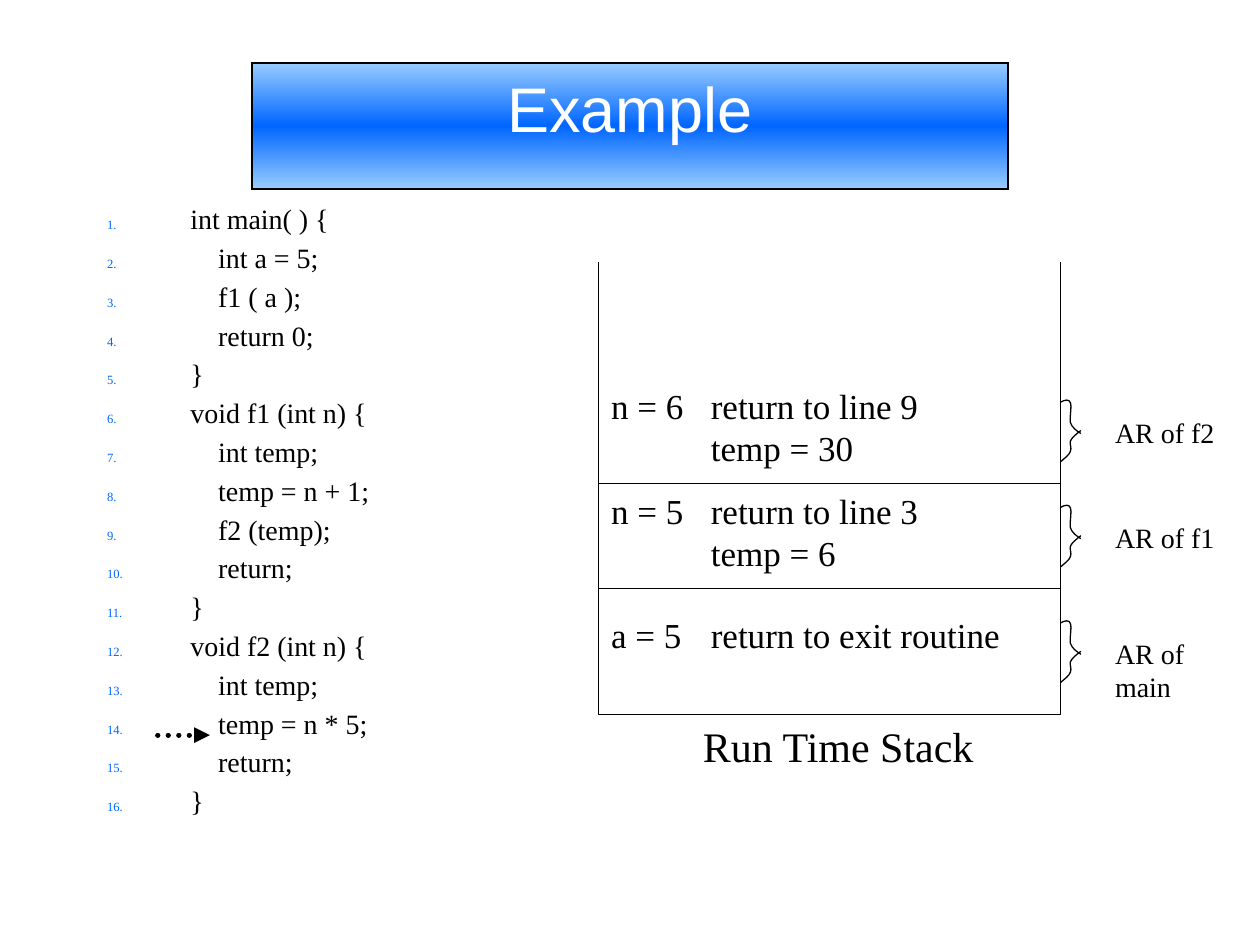
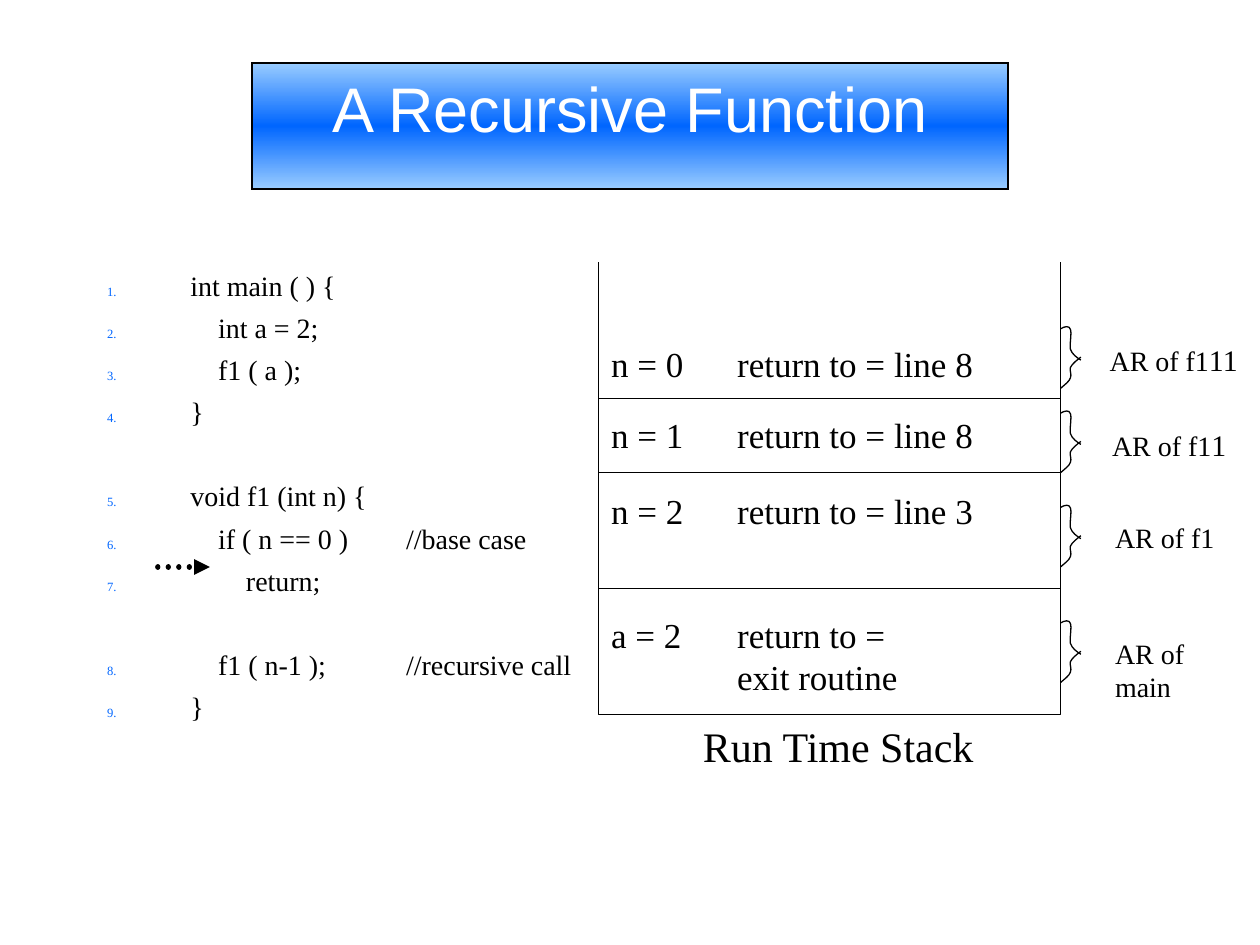
from copy import deepcopy
from dataclasses import dataclass
from typing import Any, NamedTuple

from pptx import Presentation
from pptx.dml.color import RGBColor
from pptx.enum.dml import MSO_LINE
from pptx.enum.shapes import MSO_CONNECTOR, MSO_SHAPE
from pptx.enum.text import MSO_ANCHOR, PP_ALIGN
from pptx.oxml.ns import qn
from pptx.util import Cm, Length, Pt
from lxml import etree

RECTANGLE = MSO_SHAPE.RECTANGLE
STRAIGHT = MSO_CONNECTOR.STRAIGHT
ROUND_DOT = MSO_LINE.ROUND_DOT
TOP = MSO_ANCHOR.TOP
LEFT, CENTER = PP_ALIGN.LEFT, PP_ALIGN.CENTER


@dataclass(frozen=True)
class Theme:
    ink: RGBColor = RGBColor.from_string("000000")
    paper: RGBColor = RGBColor.from_string("FFFFFF")
    blue: RGBColor = RGBColor.from_string("0066FF")
    sky: RGBColor = RGBColor.from_string("99CCFF")
    title_font: str = "Arial"
    body_font: str = "Times New Roman"
    title: Length = Pt(36)
    caption: Length = Pt(24)
    record: Length = Pt(20)
    code: Length = Pt(16)
    suffix: Length = Pt(17)
    hairline: Length = Pt(0.75)
    border: Length = Pt(1)
    pointer: Length = Pt(3)


THEME = Theme()
STACK_LEFT, STACK_RIGHT = 12.07, 21.38
STACK_TOP, STACK_BOTTOM = 5.29, 14.4
TAB_STEP = 2.01
CODE_MARGIN, CODE_STEP = 1.68, 0.56
ROW_GAP, BLANK_ROW = 4.9, 24.1
BRACE_DX = (0.41, 0.33, 0.23, 0.2, 0.18, 0.23, 0.2, 0.18, 0.08, 0)
BRACE_UPPER_DY = (0.7, 0.65, 0.58, 0.48, 0.38, 0.15, 0.08, 0, 0.02, 0.07)
BRACE_LOWER_DY = (0.64, 0.7, 0.78, 0.85, 0.92, 0.99, 1.06, 1.13, 1.2, 1.27)


class CodeLine(NamedTuple):
    text: str
    depth: int = 0
    gap_above: bool = False


class Record(NamedTuple):
    top: float
    lines: tuple[str, ...]
    brace_top: float
    label: str
    suffix: str = ""
    label_left: float = 22.23
    label_width: float = 2.51
    wraps: bool = False


@dataclass(frozen=True)
class StackSlide:
    title: str
    code_top: float
    code_spacing: float
    code: tuple[CodeLine, ...]
    pointer_y: float
    value_tab: float
    dividers: tuple[float, ...]
    records: tuple[Record, ...]


def apply_format(target: Any, values: dict[str, Any]) -> None:
    for attribute, value in values.items():
        setattr(target, attribute, value)


def add_words(paragraph, text: str, size: Length, color: RGBColor = THEME.ink,
              face: str = THEME.body_font) -> None:
    run = paragraph.add_run()
    run.text = text
    apply_format(run.font, {"size": size, "name": face})
    run.font.color.rgb = color


def add_tabs(paragraph, stops: list[float]) -> None:
    tab_list = etree.SubElement(paragraph._p.get_or_add_pPr(), qn("a:tabLst"))
    for stop in stops:
        etree.SubElement(tab_list, qn("a:tab"), pos=str(Cm(stop)), algn="l")


def add_frame(shapes, left: float, top: float, width: float, height: float, wraps: bool = True):
    frame = shapes.add_textbox(Cm(left), Cm(top), Cm(width), Cm(height)).text_frame
    apply_format(frame, {"word_wrap": wraps, "vertical_anchor": TOP})
    return frame


def style_line(line, width: Length) -> None:
    line.color.rgb = THEME.ink
    line.width = width


def add_outline(shapes, points: list[tuple[float, float]]):
    corners = [(Cm(x), Cm(y)) for x, y in points]
    builder = shapes.build_freeform(*corners[0])
    builder.add_line_segments(corners[1:], close=False)
    outline = builder.convert_to_shape()
    outline.fill.background()
    outline.shadow.inherit = False
    style_line(outline.line, THEME.hairline)
    return outline


def add_curve(shapes, points: list[tuple[float, float]]) -> None:
    segments = list(add_outline(shapes, points)._element.iter(qn("a:lnTo")))
    for start in range(0, len(segments), 3):
        bezier = etree.Element(qn("a:cubicBezTo"))
        segments[start].addprevious(bezier)
        for segment in segments[start:start + 3]:
            bezier.append(segment[0])
            segment.getparent().remove(segment)


def add_rule(slide, left: float, right: float, y: float, width: Length):
    rule = slide.shapes.add_connector(STRAIGHT, Cm(left), Cm(y), Cm(right), Cm(y))
    style_line(rule.line, width)
    etree.SubElement(rule._element.spPr, qn("a:effectLst"))
    return rule


def add_title(slide, text: str) -> None:
    banner = slide.shapes.add_shape(RECTANGLE, Cm(5.08), Cm(1.27), Cm(15.24), Cm(2.54))
    banner.shadow.inherit = False
    style_line(banner.line, THEME.border)
    etree.SubElement(banner.line._get_or_add_ln(), qn("a:miter"), lim="800000")
    banner.fill.gradient()
    banner.fill.gradient_angle = 90
    stop_list = banner._element.spPr.find(".//" + qn("a:gsLst"))
    stop_list.append(deepcopy(stop_list[0]))
    shades = ((0, THEME.sky), (0.5, THEME.blue), (1, THEME.sky))
    for stop, (position, color) in zip(banner.fill.gradient_stops, shades):
        stop.position = position
        stop.color.rgb = color
    apply_format(banner.text_frame, {"word_wrap": True, "vertical_anchor": TOP})
    heading = banner.text_frame.paragraphs[0]
    heading.alignment = CENTER
    add_words(heading, text, THEME.title, THEME.paper, THEME.title_font)


def number_line(paragraph, depth: int) -> None:
    properties = paragraph._p.get_or_add_pPr()
    margin = Cm(CODE_MARGIN + CODE_STEP * depth)
    properties.set("marL", str(margin))
    properties.set("indent", str(-margin))
    color = etree.SubElement(properties, qn("a:buClr"))
    etree.SubElement(color, qn("a:srgbClr"), val=str(THEME.blue))
    etree.SubElement(properties, qn("a:buSzPct"), val="45000")
    etree.SubElement(properties, qn("a:buAutoNum"), type="arabicPeriod")


def add_code(slide, content: StackSlide) -> None:
    frame = add_frame(slide.shapes, 1.91, content.code_top, 21.59, 11.43)
    for index, line in enumerate(content.code):
        paragraph = frame.add_paragraph() if index else frame.paragraphs[0]
        gap = ROW_GAP + BLANK_ROW * line.gap_above if index else 0
        apply_format(paragraph, {"alignment": LEFT, "line_spacing": content.code_spacing,
                                 "space_before": Pt(gap)})
        number_line(paragraph, line.depth)
        if "\t" in line.text:
            add_tabs(paragraph, [TAB_STEP * step for step in range(1, 6)])
        add_words(paragraph, line.text, THEME.code)


def add_pointer(slide, y: float) -> None:
    pointer = add_rule(slide, 3.18, 4.23, y, THEME.pointer)
    pointer.line.dash_style = ROUND_DOT
    stroke = pointer.line._get_or_add_ln()
    stroke.set("cap", "rnd")
    etree.SubElement(stroke, qn("a:tailEnd"), type="triangle")


def add_record(slide, record: Record, value_tab: float) -> None:
    frame = add_frame(slide.shapes, STACK_LEFT, record.top, STACK_RIGHT - STACK_LEFT,
                      0.25 + 0.85 * len(record.lines))
    for index, text in enumerate(record.lines):
        paragraph = frame.add_paragraph() if index else frame.paragraphs[0]
        add_tabs(paragraph, [value_tab])
        add_words(paragraph, text, THEME.record)
    bracket = slide.shapes.add_group_shape().shapes
    for offsets in (BRACE_LOWER_DY, BRACE_UPPER_DY):
        add_curve(bracket, [(STACK_RIGHT + dx, record.brace_top + dy)
                            for dx, dy in zip(BRACE_DX, offsets)])
    label = add_frame(bracket, record.label_left, record.brace_top + 0.21,
                      record.label_width, 0.92, record.wraps).paragraphs[0]
    add_words(label, record.label, THEME.code)
    if record.suffix:
        add_words(label, record.suffix, THEME.suffix)


def add_stack(slide, content: StackSlide) -> None:
    caption = add_frame(slide.shapes, 13.92, 14.4, 5.97, 1.27, False).paragraphs[0]
    add_words(caption, "Run Time Stack", THEME.caption)
    add_outline(slide.shapes, [(STACK_LEFT, STACK_TOP), (STACK_LEFT, STACK_BOTTOM),
                               (STACK_RIGHT, STACK_BOTTOM), (STACK_RIGHT, STACK_TOP)])
    for y in content.dividers:
        add_rule(slide, STACK_LEFT, STACK_RIGHT, y, THEME.hairline)
    for record in content.records:
        add_record(slide, record, content.value_tab)


SLIDES = (
    StackSlide(
        "Example", 4.02, 0.9,
        (CodeLine("int main( ) {"), CodeLine("int a = 5;", 1), CodeLine("f1 ( a );", 1),
         CodeLine("return 0;", 1), CodeLine("}"),
         CodeLine("void f1 (int n) {"), CodeLine("int temp;", 1), CodeLine("temp = n + 1;", 1),
         CodeLine("f2 (temp);", 1), CodeLine("return;", 1), CodeLine("}"),
         CodeLine("void f2 (int n) {"), CodeLine("int temp;", 1), CodeLine("temp = n * 5;", 1),
         CodeLine("return;", 1), CodeLine("}")),
        14.82, TAB_STEP, (11.86, 9.74),
        (Record(12.24, ("a = 5\treturn to exit routine",), 12.49, "AR of main", wraps=True),
         Record(9.74, ("n = 5\treturn to line 3", "\ttemp = 6"), 10.16, "AR of f1"),
         Record(7.62, ("n = 6\treturn to line 9", "\ttemp = 30"), 8.04, "AR of f2")),
    ),
    StackSlide(
        "A Recursive Function", 5.28, 1.0,
        (CodeLine("int main ( ) {"), CodeLine("int a = 2;", 1), CodeLine("f1 ( a );", 1),
         CodeLine("}"),
         CodeLine("void f1 (int n) {", gap_above=True),
         CodeLine("if ( n == 0 )\t//base case", 1), CodeLine("return;", 2),
         CodeLine("f1 ( n-1 );\t//recursive call", 1, True), CodeLine("}")),
        11.43, 2.54, (11.86, 9.53, 8.04),
        (Record(12.24, ("a = 2\treturn to =", "\texit routine"), 12.49, "AR of main", wraps=True),
         Record(9.74, ("n = 2\treturn to = line 3",), 10.16, "AR of f1"),
         Record(8.21, ("n = 1\treturn to = line 8",), 8.26, "AR of f1", "1", 22.17, 2.82),
         Record(6.77, ("n = 0\treturn to = line 8",), 6.56, "AR of f1", "11", 22.12, 3.1)),
    ),
)


def main() -> None:
    deck = Presentation()
    apply_format(deck, {"slide_width": Cm(25.4), "slide_height": Cm(19.05)})
    for content in SLIDES:
        slide = deck.slides.add_slide(deck.slide_layouts[6])
        add_title(slide, content.title)
        add_code(slide, content)
        add_stack(slide, content)
        add_pointer(slide, content.pointer_y)
    deck.save("out.pptx")


if __name__ == "__main__":
    main()
